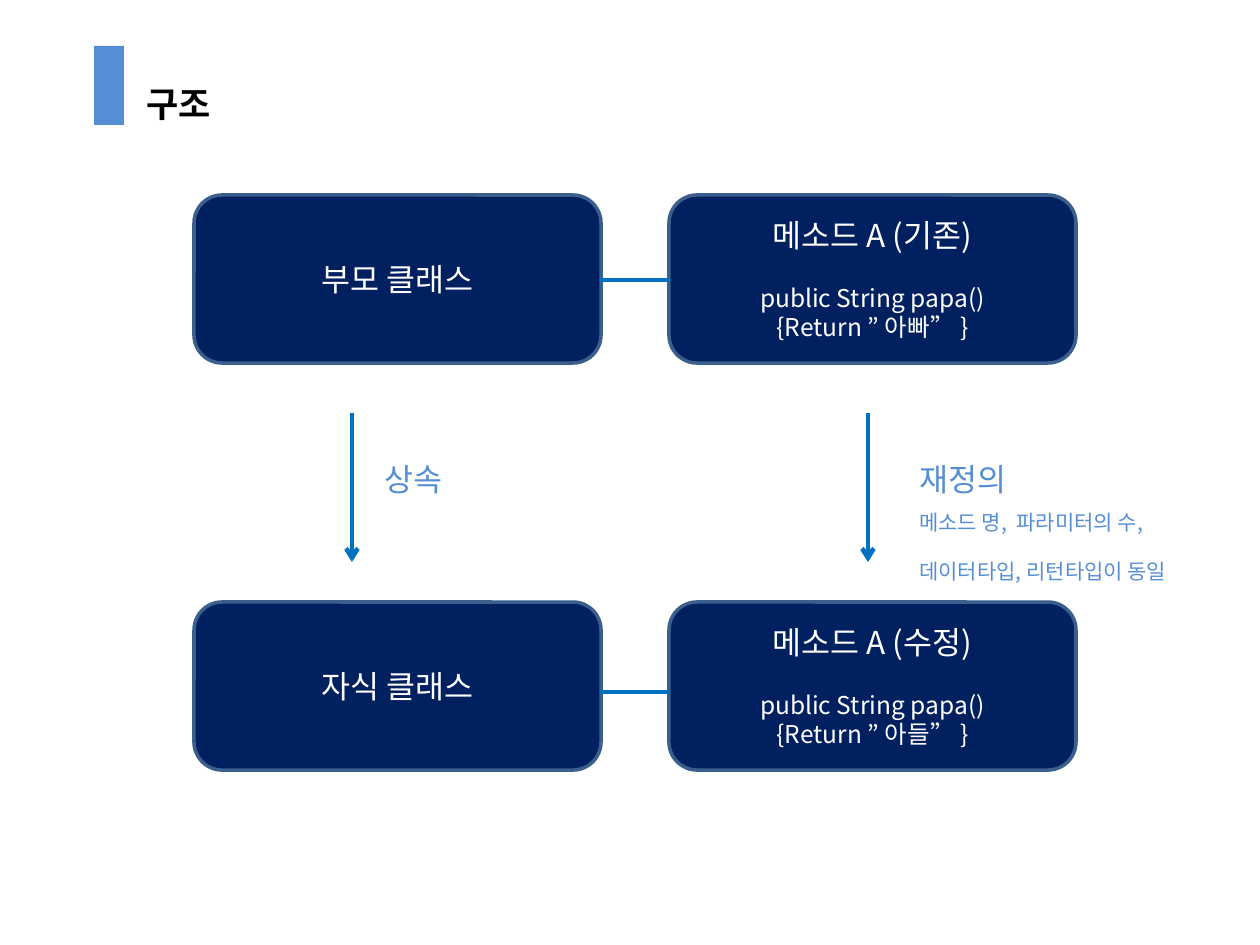
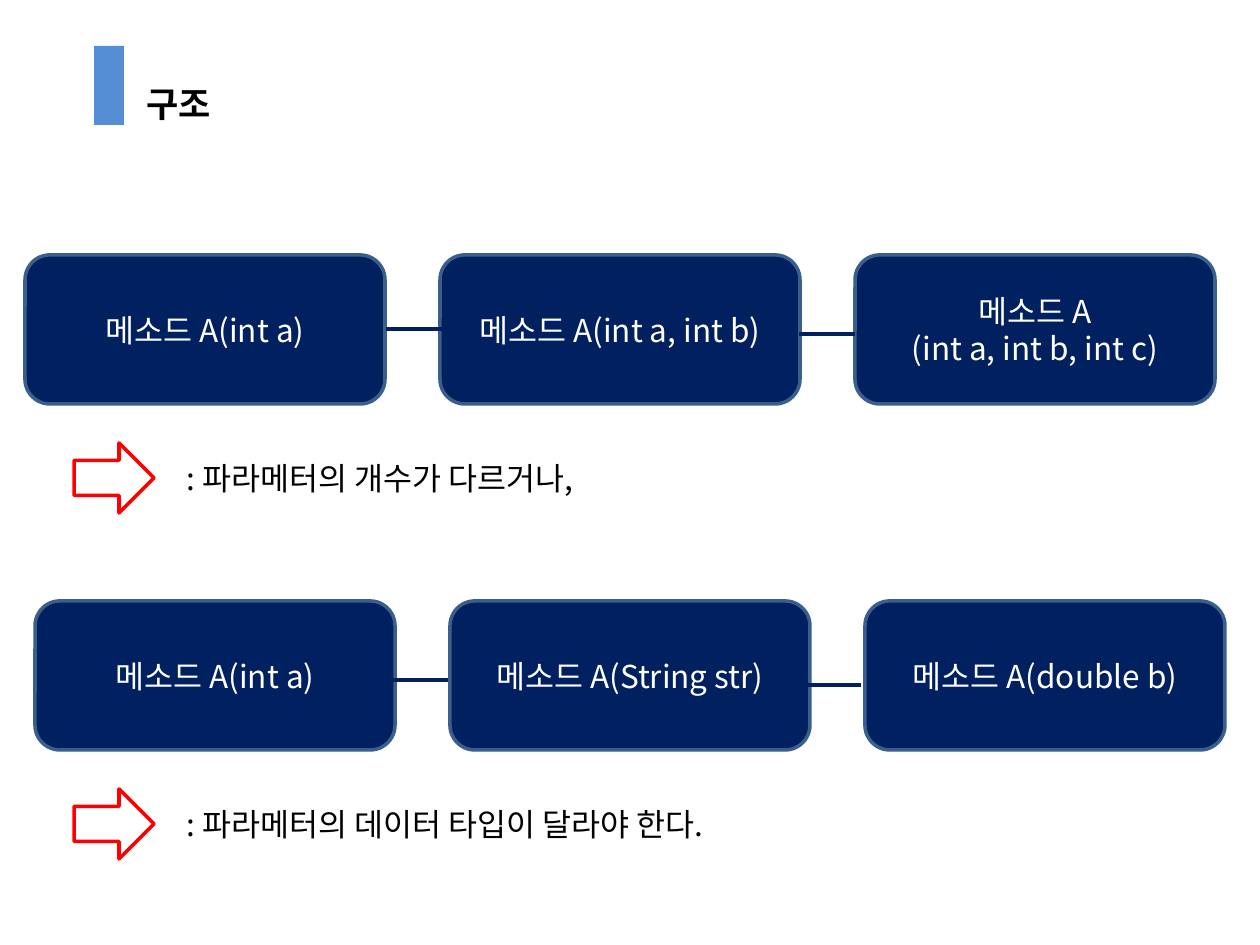
from lxml import etree
from pptx import Presentation
from pptx.dml.color import RGBColor
from pptx.enum.shapes import MSO_CONNECTOR, MSO_SHAPE
from pptx.enum.text import MSO_ANCHOR, MSO_AUTO_SIZE, PP_ALIGN
from pptx.oxml.ns import qn
from pptx.util import Pt

LINE = MSO_CONNECTOR.STRAIGHT
ROUND, RECT, ARROW = MSO_SHAPE.ROUNDED_RECTANGLE, MSO_SHAPE.RECTANGLE, MSO_SHAPE.RIGHT_ARROW
TOP, MIDDLE = MSO_ANCHOR.TOP, MSO_ANCHOR.MIDDLE
LEFT, CENTER = PP_ALIGN.LEFT, PP_ALIGN.CENTER
FIXED = MSO_AUTO_SIZE.NONE

PX = 914400 / 126
FONT = "Noto Sans CJK KR"
COLORS = {name: RGBColor.from_string(code) for name, code in {
    "navy": "002060", "edge": "3A5F8C", "blue": "0070C0", "sky": "558ED5",
    "red": "FF0000", "white": "FFFFFF", "black": "000000"}.items()}
BLOCK = {"form": ROUND, "fill": "navy", "edge": "edge", "color": "white",
         "align": CENTER, "anchor": MIDDLE}


def put(slide, text, at, form="text", fill=None, edge=None, color="black",
        sizes=(18,), bold=False, align=LEFT, anchor=TOP, gap=0):
    """Place formatted text in the title, a text box or a preset shape.

    The last of sizes serves all further lines; gap follows the first line.
    """
    spot = [round(v * PX) for v in at]
    if form == "title":
        shape = slide.shapes.title
        shape.left, shape.top, shape.width, shape.height = spot
    elif form == "text":
        shape = slide.shapes.add_textbox(*spot)
    else:
        shape = slide.shapes.add_shape(form, *spot)
        shape.shadow.inherit = False
        if fill:
            shape.fill.solid()
            shape.fill.fore_color.rgb = COLORS[fill]
        else:
            shape.fill.background()
        if edge:
            shape.line.color.rgb = COLORS[edge]
            shape.line.width = Pt(2)
        else:
            shape.line.fill.background()
    if not text:
        return
    frame = shape.text_frame
    frame.text = text
    frame.word_wrap = True
    frame.auto_size = FIXED
    frame.vertical_anchor = anchor
    for i, par in enumerate(frame.paragraphs):
        par.alignment = align
        par.space_after = Pt(0 if i else gap)
        run = par.runs[0]
        run.font.name = FONT
        run.font.size = Pt(sizes[min(i, len(sizes) - 1)])
        run.font.bold = bold
        run.font.color.rgb = COLORS[color]
        # East Asian glyphs take their own typeface element
        etree.SubElement(run.font._element, qn("a:ea"), typeface=FONT)


def link(slide, x1, y1, x2, y2, color, width, head=False):
    """Draw a straight line, with an arrowhead at its end if head is set."""
    line = slide.shapes.add_connector(LINE, *[round(v * PX) for v in (x1, y1, x2, y2)])
    line.line.color.rgb = COLORS[color]
    line.line.width = Pt(width)
    if head:
        etree.SubElement(line.line._get_or_add_ln(), qn("a:tailEnd"), type="arrow")
    etree.SubElement(line._element.spPr, qn("a:effectLst"))


deck = Presentation()
deck.slide_width, deck.slide_height = round(1260 * PX), round(945 * PX)
pages = [deck.slides.add_slide(deck.slide_layouts[5]) for _ in range(2)]
for page in pages:
    put(page, "구조", (134, 76, 932, 55), form="title", sizes=(20,), bold=True)
    put(page, "", (94, 46, 30, 79), form=RECT, fill="sky")

# Overriding: parent and child class, each with its method
page = pages[0]
rows = [(195, 280, "부모", "기존", "아빠"), (602, 692, "자식", "수정", "아들")]
for top, mid, role, state, value in rows:
    put(page, f"{role} 클래스", (194, top, 407, 168), **BLOCK)
    code = f"메소드 A ({state})\npublic String papa()\n{{Return ” {value}” }}"
    put(page, code, (669, top, 407, 168), sizes=(18, 14), gap=16.5, **BLOCK)
    link(page, 600, mid, 669, mid, "blue", 2.5)
for x, left, label in [(352, 372, "상속"), (868, 907, "재정의")]:
    link(page, x, 413, x, 562, "blue", 2.5, head=True)
    put(page, label, (left, 454, 118, 50), color="sky")
put(page, "메소드 명,  파라미터의 수,\n데이터타입, 리턴타입이 동일", (907, 503, 330, 92),
    color="sky", sizes=(12,), gap=14)

# Overloading: three signatures in a row, then the rule they show
page = pages[1]
rows = [
    (25, 255, 386, 329, ["메소드 A(int a)", "메소드 A(int a, int b)",
                         "메소드 A\n(int a, int b, int c)"],
     ": 파라메터의 개수가 다르거나,"),
    (35, 601, 392, 680, ["메소드 A(int a)", "메소드 A(String str)", "메소드 A(double b)"],
     ": 파라메터의 데이터 타입이 달라야 한다."),
]
for left, top, start, mid, names, rule in rows:
    for i, name in enumerate(names):
        put(page, name, (left + 415 * i, top, 360, 149), **BLOCK)
    for i in range(2):
        x, y = start + 413 * i, mid + 5 * i
        link(page, x, y, x + 56, y, "navy", 2)
    put(page, "", (74, top + 188, 80, 70), form=ARROW, edge="red")
    put(page, rule, (174, top + 198, 932, 50))

deck.save("out.pptx")
